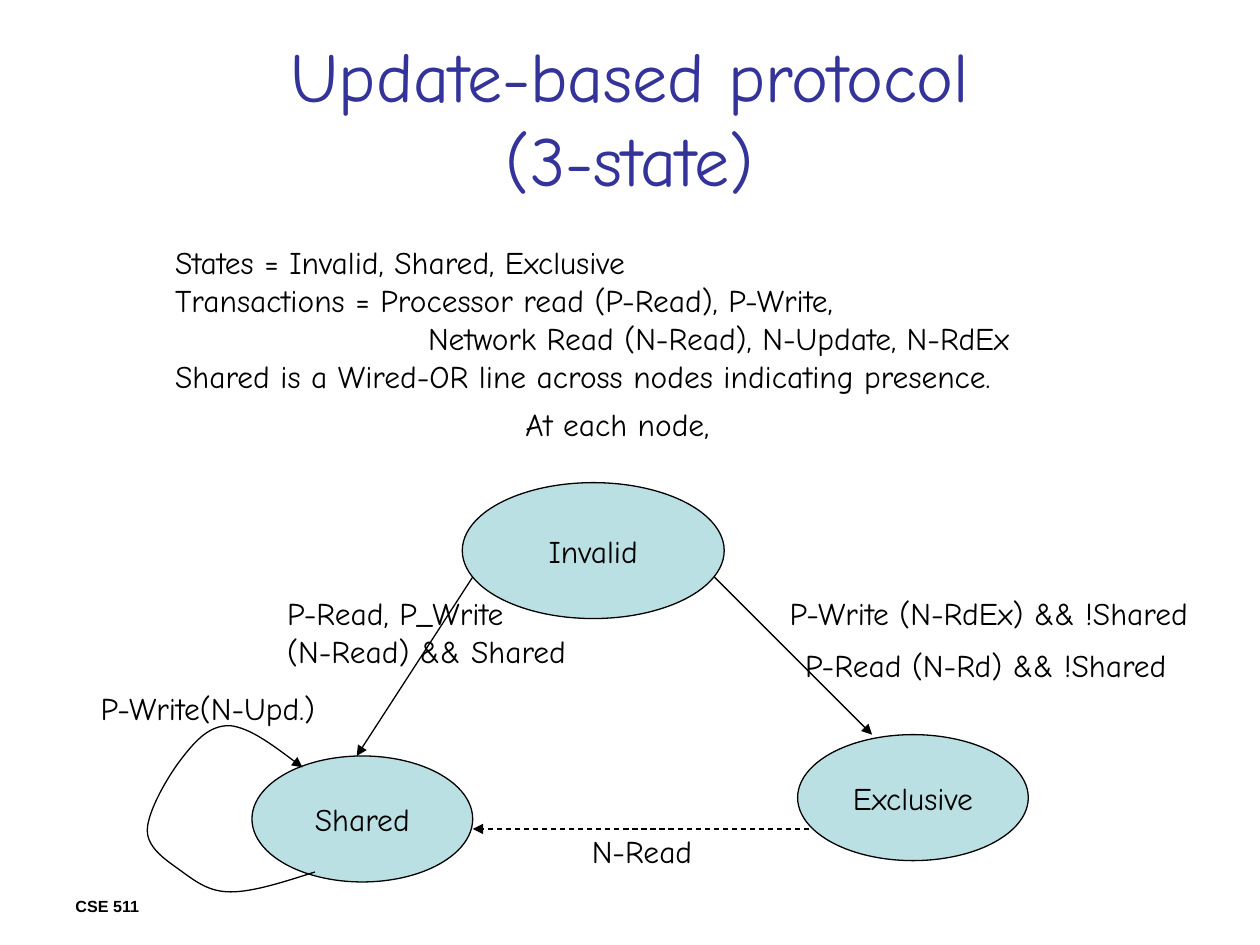
from dataclasses import dataclass

from lxml import etree
from pptx import Presentation
from pptx.dml.color import RGBColor
from pptx.enum.dml import MSO_LINE
from pptx.enum.shapes import MSO_CONNECTOR, MSO_SHAPE
from pptx.enum.text import MSO_ANCHOR, MSO_AUTO_SIZE, PP_ALIGN
from pptx.oxml.ns import qn
from pptx.util import Cm, Pt

LEFT, CENTER = PP_ALIGN.LEFT, PP_ALIGN.CENTER
MIDDLE = MSO_ANCHOR.MIDDLE
FIT_SHAPE = MSO_AUTO_SIZE.SHAPE_TO_FIT_TEXT
ELLIPSE = MSO_SHAPE.OVAL
STRAIGHT = MSO_CONNECTOR.STRAIGHT
DASH = MSO_LINE.DASH


@dataclass(frozen=True)
class Theme:
    ink: RGBColor = RGBColor(0x00, 0x00, 0x00)
    title: RGBColor = RGBColor(0x33, 0x33, 0x99)
    state: RGBColor = RGBColor(0xBB, 0xE0, 0xE3)
    font: str = "Comic Neue"
    footer_font: str = "Arial"
    title_size: float = 40
    body_size: float = 18
    footer_size: float = 9.2
    line_width: float = 0.75


@dataclass(frozen=True)
class Box:
    """A region in centimetres."""
    left: float
    top: float
    width: float
    height: float

    def inner(self, left, top, width, height):
        return Box(self.left + left, self.top + top, width, height)

    def point(self, x, y):
        return Cm(self.left + x), Cm(self.top + y)

    def lengths(self):
        return [Cm(n) for n in (self.left, self.top, self.width, self.height)]


THEME = Theme()
LABEL_HEIGHT = 1.02


def write_text(frame, lines, size=THEME.body_size, font=THEME.font,
               color=THEME.ink, bold=False, align=LEFT, spacing=None, indents=None):
    """Write one paragraph a line; indents maps a line number to centimetres."""
    for number, line in enumerate(lines):
        para = frame.paragraphs[0] if number == 0 else frame.add_paragraph()
        para.text = line
        para.alignment = align
        if spacing:
            para.line_spacing = spacing
        if indents and number in indents:
            para._p.get_or_add_pPr().set("marL", str(Cm(indents[number])))
        for span in para.runs:
            span.font.size = Pt(size)
            span.font.name = font
            span.font.bold = bold
            span.font.color.rgb = color


def add_text(page, box, lines, wrap=False, anchor=None, **text_format):
    frame = page.shapes.add_textbox(*box.lengths()).text_frame
    frame.word_wrap = wrap
    if anchor is not None:
        frame.vertical_anchor = anchor
    if not wrap:
        frame.auto_size = FIT_SHAPE
    write_text(frame, lines, **text_format)


def style_line(shape, arrow=False, dash=None):
    shape.line.color.rgb = THEME.ink
    shape.line.width = Pt(THEME.line_width)
    if dash is not None:
        shape.line.dash_style = dash
    if arrow:
        etree.SubElement(shape.line._get_or_add_ln(), qn("a:tailEnd"), type="triangle")


def add_state(page, box, name):
    shape = page.shapes.add_shape(ELLIPSE, *box.lengths())
    shape.shadow.inherit = False
    shape.fill.solid()
    shape.fill.fore_color.rgb = THEME.state
    style_line(shape)
    shape.text_frame.word_wrap = False
    shape.text_frame.vertical_anchor = MIDDLE
    write_text(shape.text_frame, [name], align=CENTER)


def add_arrow(page, start, end, dash=None):
    line = page.shapes.add_connector(STRAIGHT, *start, *end)
    style_line(line, arrow=True, dash=dash)
    etree.SubElement(line._element.spPr, qn("a:effectLst"))


def add_curve(page, points):
    """Draw a start point and then three Bezier points for each curve."""
    builder = page.shapes.build_freeform(*points[0], scale=1.0)
    builder.add_line_segments(points[1:], close=False)
    shape = builder.convert_to_shape()
    shape.shadow.inherit = False
    shape.fill.background()
    style_line(shape, arrow=True)
    outline = next(shape._element.iter(qn("a:path")))
    segments = outline.findall(qn("a:lnTo"))
    for first in range(0, len(segments), 3):
        curve = etree.SubElement(outline, qn("a:cubicBezTo"))
        for segment in segments[first:first + 3]:
            curve.append(segment[0])
            outline.remove(segment)


def draw_title(page, box):
    add_text(page, box, ["Update-based protocol\v(3-state)"], wrap=True, anchor=MIDDLE,
             size=THEME.title_size, color=THEME.title, align=CENTER)


def draw_intro(page, box):
    add_text(page, box.inner(0, 0, box.width, 3.3), [
        "States = Invalid, Shared, Exclusive",
        "Transactions = Processor read (P-Read), P-Write,",
        "Network Read (N-Read), N-Update, N-RdEx",
        "Shared is a Wired-OR line across nodes indicating presence.",
    ], indents={2: 5.1})
    add_text(page, box.inner(7.06, 3.27, 4.22, LABEL_HEIGHT), ["At each node,"])


def draw_state_diagram(page, box):
    # States
    for name, place in (
        ("Invalid", (7.54, 0, 5.28, 2.74)),
        ("Exclusive", (14.3, 5.08, 4.65, 2.54)),
        ("Shared", (3.3, 5.51, 4.45, 2.54)),
    ):
        add_state(page, box.inner(*place), name)

    # Transitions
    for start, end, dash in (
        ((7.75, 1.9), (5.41, 5.51), None),
        ((14.53, 6.98), (7.75, 6.98), DASH),
        ((12.62, 1.9), (15.8, 5.08), None),
    ):
        add_arrow(page, box.point(*start), box.point(*end), dash)

    # Loop from Shared back to itself
    loop = [
        (4.57, 7.85),
        (3.94, 8.05), (3.33, 8.25), (2.87, 8.25),
        (2.44, 8.25), (2.18, 8.05), (1.9, 7.85),
        (1.62, 7.64), (1.19, 7.39), (1.19, 7.01),
        (1.19, 6.63), (1.62, 5.89), (1.9, 5.54),
        (2.18, 5.18), (2.46, 4.88), (2.87, 4.9),
        (3.27, 4.95), (3.81, 5.36), (4.32, 5.74),
    ]
    add_curve(page, [box.point(*spot) for spot in loop])

    # Transition labels
    for left, top, width, lines in (
        (3.76, 2.13, 6.15, ["P-Read, P_Write", "(N-Read) && Shared"]),
        (9.9, 6.91, 2.54, ["N-Read"]),
        (13.89, 2.13, 8.81, ["P-Write (N-RdEx) && !Shared"]),
        (0, 4.04, 4.88, ["P-Write(N-Upd.)"]),
        (14.2, 3.17, 8.05, ["P-Read (N-Rd) && !Shared"]),
    ):
        add_text(page, box.inner(left, top, width, LABEL_HEIGHT * len(lines)), lines)


def draw_footer(page, box):
    add_text(page, box, ["CSE 511"], wrap=True, size=THEME.footer_size,
             font=THEME.footer_font, bold=True, spacing=0.9)


def main():
    deck = Presentation()
    deck.slide_width, deck.slide_height = Cm(25.4), Cm(19.05)
    page = deck.slides.add_slide(deck.slide_layouts[6])
    draw_footer(page, Box(1.27, 17.98, 5.92, 0.64))
    draw_title(page, Box(1.27, 0.76, 22.86, 3.18))
    draw_intro(page, Box(3.28, 4.78, 17.35, 4.29))
    draw_state_diagram(page, Box(1.78, 9.73, 22.7, 8.25))
    deck.save("out.pptx")


if __name__ == "__main__":
    main()
